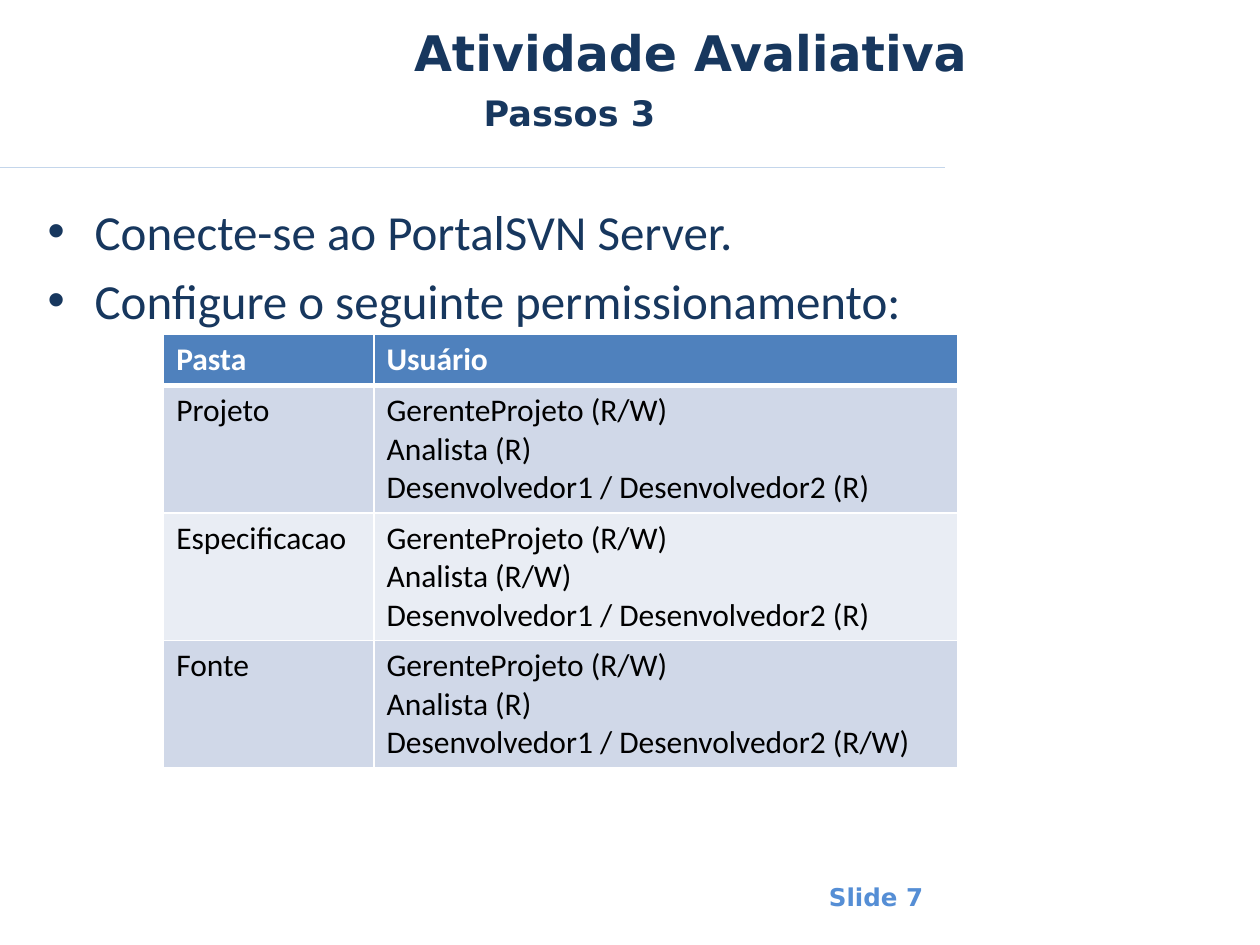
from dataclasses import dataclass

from lxml.etree import SubElement
from pptx import Presentation
from pptx.dml.color import RGBColor as Rgb
from pptx.enum.shapes import MSO_CONNECTOR as Connector
from pptx.oxml.ns import qn
from pptx.util import Cm, Pt


@dataclass(frozen=True)
class Theme:
    navy: str = "17375E"
    footer: str = "558ED5"
    rule: str = "C4D6EB"
    header: str = "4F81BD"
    bands: tuple = ("D0D8E8", "E9EDF4")
    white: str = "FFFFFF"
    black: str = "000000"
    heading_font: str = "DejaVu Sans"
    body_font: str = "Calibri"
    title_size: int = 28
    subtitle_size: int = 20
    table_size: int = 18
    footer_size: int = 14


@dataclass(frozen=True)
class Box:
    left: float
    top: float
    width: float
    height: float

    def lengths(self):
        return Cm(self.left), Cm(self.top), Cm(self.width), Cm(self.height)


THEME = Theme()
HEADING = dict(font=THEME.heading_font, color=THEME.navy, bold=True)
ROWS = [
    ("Pasta", ["Usuário"]),
    ("Projeto", ["GerenteProjeto (R/W)", "Analista (R)",
                 "Desenvolvedor1 / Desenvolvedor2 (R)"]),
    ("Especificacao", ["GerenteProjeto (R/W)", "Analista (R/W)",
                       "Desenvolvedor1 / Desenvolvedor2 (R)"]),
    ("Fonte", ["GerenteProjeto (R/W)", "Analista (R)",
               "Desenvolvedor1 / Desenvolvedor2 (R/W)"]),
]


def add_bullet(para, indent):
    properties = para._p.get_or_add_pPr()
    properties.set("marL", str(Cm(indent)))
    properties.set("indent", str(-Cm(indent)))
    SubElement(properties, qn("a:buFont"), typeface="Arial")
    SubElement(properties, qn("a:buChar"), char="•")


def write_text(frame, lines, *, font, size, color, bold=False, bullet_indent=0, gap=0):
    frame.word_wrap = True
    for index, line in enumerate(lines):
        para = frame.add_paragraph() if index else frame.paragraphs[0]
        if bullet_indent:
            add_bullet(para, bullet_indent)
        if index and gap:
            para.space_before = Pt(gap)
        span = para.add_run()
        span.text = line
        span.font.name = font
        span.font.size = Pt(size)
        span.font.bold = bold
        span.font.color.rgb = Rgb.from_string(color)


def add_text(page, box, lines, **style):
    write_text(page.shapes.add_textbox(*box.lengths()).text_frame, lines, **style)


def add_heading(page, box):
    title = Box(box.left, box.top, box.width, 1.4)
    subtitle = Box(box.left + 1.4, box.top + 1.4, box.width - 1.6, 1.6)
    add_text(page, title, ["Atividade Avaliativa"], size=THEME.title_size, **HEADING)
    add_text(page, subtitle, ["Passos 3"], size=THEME.subtitle_size, **HEADING)


def add_rule(page, box):
    left, top, width, height = box.lengths()
    rule = page.shapes.add_connector(Connector.STRAIGHT, left, top, left + width, top + height)
    rule.line.color.rgb = Rgb.from_string(THEME.rule)
    rule.line.width = Pt(0.75)
    SubElement(rule._element.spPr, qn("a:effectLst"))


def add_steps(page, box):
    steps = ["Conecte-se ao PortalSVN Server.", "Configure o seguinte permissionamento:"]
    add_text(page, box, steps, font=THEME.body_font, size=THEME.title_size,
             color=THEME.navy, bullet_indent=0.95, gap=5.6)


def set_borders(cell, **widths):
    properties = cell._tc.get_or_add_tcPr()
    for side in "LRTB":
        border = SubElement(properties, qn(f"a:ln{side}"), w=str(Pt(widths.get(side, 1))))
        fill = SubElement(border, qn("a:solidFill"))
        SubElement(fill, qn("a:srgbClr"), val=THEME.white)


def add_permissions(page, box):
    header_height = 1.04
    row_height = (box.height - header_height) / (len(ROWS) - 1)
    table = page.shapes.add_table(len(ROWS), 2, *box.lengths()).table
    table.horz_banding = False
    folder_width = 4.24
    table.columns[0].width = Cm(folder_width)
    table.columns[1].width = Cm(box.width - folder_width)
    for row, (folder, users) in enumerate(ROWS):
        is_header = row == 0
        table.rows[row].height = Cm(header_height if is_header else row_height)
        fill = THEME.header if is_header else THEME.bands[(row - 1) % 2]
        for column, lines in enumerate(([folder], users)):
            cell = table.cell(row, column)
            set_borders(cell, B=3 if is_header else 1, T=3 if row == 1 else 1)
            cell.fill.solid()
            cell.fill.fore_color.rgb = Rgb.from_string(fill)
            write_text(cell.text_frame, lines, font=THEME.body_font, size=THEME.table_size,
                       color=THEME.white if is_header else THEME.black, bold=is_header)


def add_footer(page, box):
    add_text(page, box, ["Slide 7"], font=THEME.heading_font, size=THEME.footer_size,
             color=THEME.footer, bold=True)


def main():
    deck = Presentation()
    deck.slide_width, deck.slide_height = Cm(25.4), Cm(19.05)
    page = deck.slides.add_slide(deck.slide_layouts[6])
    add_rule(page, Box(0, 3.38, 19.05, 0))
    add_footer(page, Box(16.46, 17.65, 3.58, 0.86))
    add_heading(page, Box(8.1, 0.33, 17, 3))
    add_steps(page, Box(0.71, 3.94, 23, 11.2))
    add_permissions(page, Box(3.3, 6.73, 16, 8.75))
    deck.save("out.pptx")


if __name__ == "__main__":
    main()
